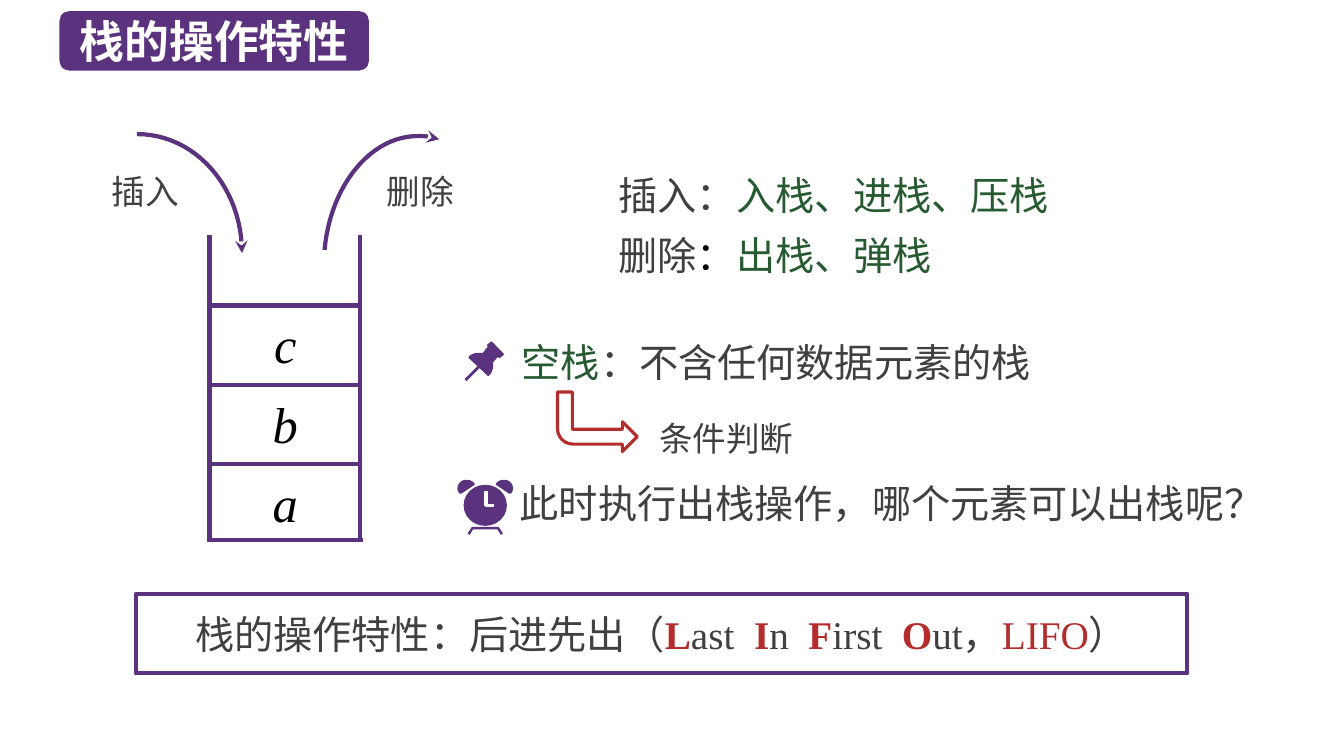
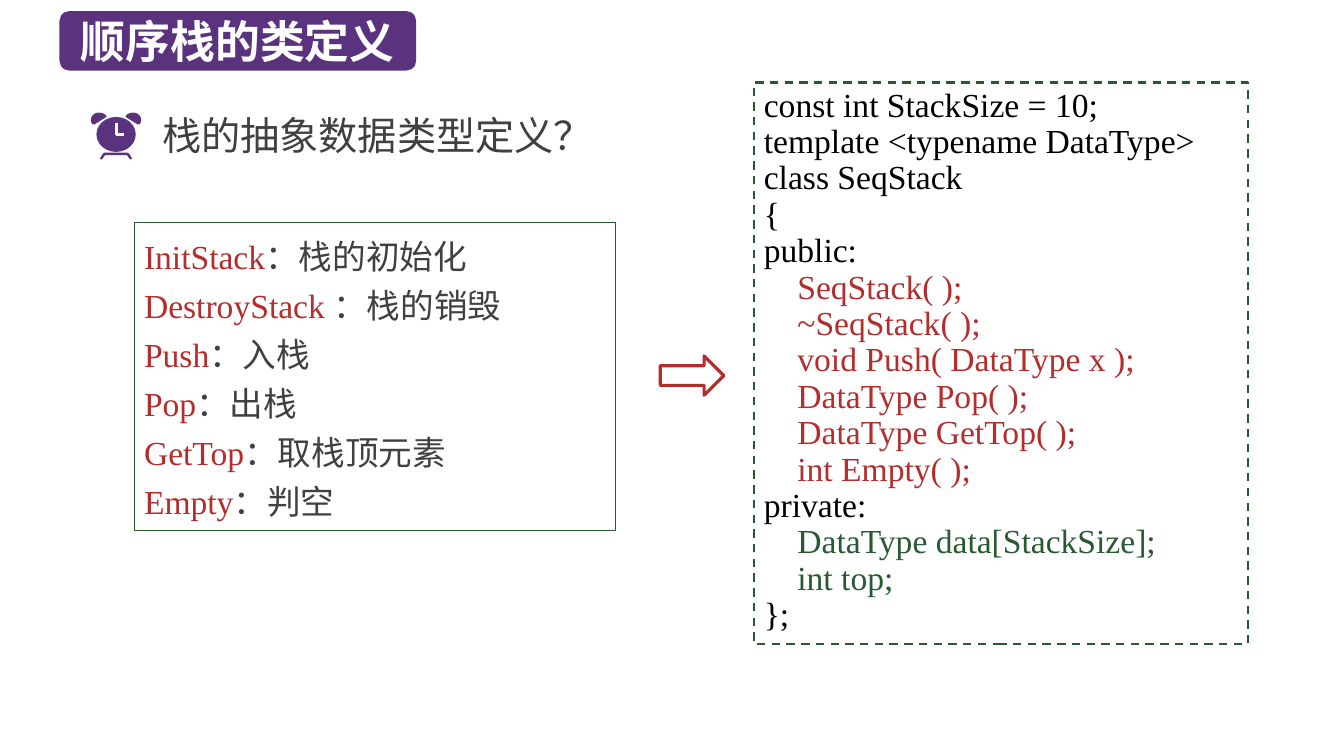
import pptx
import pptx.util
import pptx.dml.color
import pptx.enum.dml
import pptx.enum.shapes
import pptx.enum.text
import pptx.oxml.ns
from lxml import etree

Cm, Pt = pptx.util.Cm, pptx.util.Pt
KIND = pptx.enum.shapes.MSO_SHAPE
ALIGN = pptx.enum.text.PP_ALIGN
ANCHOR = pptx.enum.text.MSO_ANCHOR
DASH = pptx.enum.dml.MSO_LINE.DASH
qn = pptx.oxml.ns.qn

PURPLE, GREEN, RED = "5A327D", "285A32", "B42D2D"
GREY, BLACK, WHITE = "404040", "000000", "FFFFFF"
SANS, SERIF = "Noto Sans CJK SC", "Times New Roman"

TITLES = [("栈的操作特性", 7.80), ("顺序栈的类定义", 8.99)]

NOTES = [
    ((2.57, 4.19, 2.49), 24, [[("插入", GREY)]]),
    ((9.50, 4.19, 2.34), 24, [[("删除", GREY)]]),
    ((15.34, 4.19, 11.46), 28, [
        [("插入：", GREY), ("入栈、进栈、压栈", GREEN)],
        [("删除", GREY), ("：", BLACK), ("出栈、弹栈", GREEN)]]),
    ((12.90, 8.41, 14.38), 28,
     [[("空栈", GREEN), ("：不含任何数据元素的栈", GREY)]]),
    ((16.36, 10.41, 4.27), 24, [[("条件判断", GREY)]]),
    ((12.85, 11.96, 19.80), 28,
     [[("此时执行出栈操作，哪个元素可以出栈呢？", GREY)]]),
]
ASK = ((3.84, 2.67, 12.27), 28, [[("栈的抽象数据类型定义？", GREY)]])

ITEMS = ["c", "b", "a"]
WORDS = ["Last", "In", "First", "Out"]

OPS = [
    ("InitStack", "：栈的初始化"),
    ("DestroyStack ", "：栈的销毁"),
    ("Push", "：入栈"),
    ("Pop", "：出栈"),
    ("GetTop", "：取栈顶元素"),
    ("Empty", "：判空"),
]

CODE = [
    (BLACK, ["const int StackSize = 10;", "template <typename DataType>",
             "class SeqStack", "{", "public:"]),
    (RED, ["    SeqStack( );", "    ~SeqStack( );",
           "    void Push( DataType x );", "    DataType Pop( );",
           "    DataType GetTop( );", "    int Empty( );"]),
    (BLACK, ["private:"]),
    (GREEN, ["    DataType data[StackSize];", "    int top;"]),
    (BLACK, ["};"]),
]

ARCS = [
    [(3.45, 3.38), (4.93, 3.38, 6.10, 4.72, 6.10, 6.38)],
    [(8.18, 6.30), (8.33, 4.65, 9.37, 3.40, 10.57, 3.43),
     (10.74, 3.43, 10.90, 3.45, 11.07, 3.51)],
]
PIN = [(12.70, 8.92), (12.40, 8.61), (12.37, 8.61), (12.27, 8.69),
       (12.29, 8.74), (12.17, 8.89), (12.07, 8.89),
       (11.96, 8.89, 11.89, 8.92, 11.81, 8.99), (11.81, 9.02),
       (12.29, 9.47), (12.32, 9.47),
       (12.40, 9.40, 12.45, 9.27, 12.42, 9.14), (12.55, 8.99),
       (12.57, 9.02), (12.60, 9.02), (12.70, 8.94)]
NEEDLE = [(11.73, 9.58), (12.07, 9.24)]

BELL = [(0.16, 0), (0.07, 0, 0, 0.07, 0, 0.16),
        (0, 0.20, 0.02, 0.23, 0.04, 0.25), (0.07, 0.25), (0.31, 0.09),
        (0.31, 0.07), (0.27, 0.02, 0.22, 0, 0.16, 0)]
FEET = [(0.20, 0.98), (0.27, 0.87), (0.73, 0.87), (0.80, 0.98)]
HANDS = [(0.51, 0.21), (0.51, 0.46), (0.65, 0.46)]


def rgb(hue):
    """Turn a hex string into a colour."""
    return pptx.dml.color.RGBColor.from_string(hue)


def put(goal, vals):
    """Set each attribute named in a dict."""
    for key, val in vals.items():
        setattr(goal, key, val)


def paint(shape, fill=None, line=None, width=1, dash=None):
    """Give a shape its fill and line and drop its shadow."""
    shape.shadow.inherit = False
    if fill:
        shape.fill.solid()
        shape.fill.fore_color.rgb = rgb(fill)
    else:
        shape.fill.background()
    if line:
        shape.line.color.rgb = rgb(line)
        put(shape.line, {"width": Pt(width), "dash_style": dash})
    else:
        shape.line.fill.background()
    return shape


def block(page, kind, at, **look):
    """Add a preset shape at a place in centimetres."""
    return paint(page.shapes.add_shape(kind, *map(Cm, at)), **look)


def write(shape, paras, size, font=SANS, bold=False, italic=False,
          frame=None, **form):
    """Fill a shape with paragraphs of (text, colour, bold) runs."""
    text = shape.text_frame
    put(text, {"word_wrap": True, "vertical_anchor": ANCHOR.TOP,
               **(frame or {})})
    for num, runs in enumerate(paras):
        para = text.add_paragraph() if num else text.paragraphs[0]
        put(para, {"alignment": ALIGN.LEFT, **form})
        if num and "line_spacing" not in form:
            para.space_before = Pt(9)
        for words, hue, *thick in runs:
            run = para.add_run()
            run.text = words
            put(run.font, {"name": font, "size": Pt(size), "italic": italic,
                           "bold": thick[0] if thick else bold})
            run.font.color.rgb = rgb(hue)
            props = run._r.get_or_add_rPr()
            etree.SubElement(props, qn("a:ea")).set("typeface", SANS)
            if words == " ":
                props.set("spc", "700")


def label(page, at, size, paras, **form):
    """Add a text box whose height follows its lines."""
    high = len(paras) * size * 0.06
    box = page.shapes.add_textbox(*map(Cm, (*at, high)))
    write(box, paras, size, **form)


def trace(path, steps=24):
    """Turn points and cubic curves into a list of points."""
    dots = [path[0]]
    for part in path[1:]:
        if len(part) == 2:
            dots.append(part)
            continue
        ends = [dots[-1], part[:2], part[2:4], part[4:]]
        for step in range(1, steps + 1):
            t = step / steps
            mix = ((1 - t) ** 3, 3 * t * (1 - t) ** 2,
                   3 * t * t * (1 - t), t ** 3)
            dots.append(tuple(sum(m * e[axis] for m, e in zip(mix, ends))
                              for axis in (0, 1)))
    return dots


def draw(page, path, at=(0, 0, 1, 1), **look):
    """Add an outline, closed when it has a fill."""
    left, top, wide, high = at
    dots = [(Cm(left + x * wide), Cm(top + y * high)) for x, y in trace(path)]
    form = page.shapes.build_freeform(*dots[0])
    form.add_line_segments(dots[1:], close="fill" in look)
    return paint(form.convert_to_shape(), **look)


def rule(page, *ends):
    """Add a straight purple line."""
    line = page.shapes.add_connector(
        pptx.enum.shapes.MSO_CONNECTOR.STRAIGHT, *map(Cm, ends))
    line.line.color.rgb = rgb(PURPLE)
    line.line.width = Pt(3)
    etree.SubElement(line._element.spPr, qn("a:effectLst"))


def clock(page, at):
    """Draw an alarm clock inside a box."""
    left, top, wide, high = at
    flip = [tuple(1 - v if n % 2 == 0 else v for n, v in enumerate(part))
            for part in BELL]
    for bell in (BELL, flip):
        draw(page, bell, at, fill=PURPLE)
    draw(page, FEET, at, line=PURPLE, width=1.75)
    block(page, KIND.OVAL, (left + 0.11 * wide, top + 0.09 * high,
                            0.78 * wide, 0.74 * high), fill=PURPLE)
    draw(page, HANDS, at, line=WHITE, width=2.5)


def start(deck, title, wide):
    """Add a blank slide with its title band."""
    page = deck.slides.add_slide(deck.slide_layouts[6])
    band = block(page, KIND.ROUNDED_RECTANGLE, (1.50, 0.28, wide, 1.50),
                 fill=PURPLE)
    write(band, [[(title, WHITE)]], 32, bold=True, alignment=ALIGN.CENTER,
          frame={"vertical_anchor": ANCHOR.MIDDLE, "margin_top": 0,
                 "margin_bottom": 0})
    return page


def stack(page):
    """Draw the open stack with its items and arrows."""
    left, right, top, step = 5.28, 9.07, 7.70, 2
    base = top + step * len(ITEMS) - 0.09
    for side in (left, right):
        rule(page, side, 5.92, side, base)
    rule(page, left - 0.07, base, right + 0.07, base)
    for num, item in enumerate(ITEMS):
        y = top + step * num
        rule(page, left, y, right, y)
        label(page, (5.54, y + 0.07, 3.30), 36, [[(item, BLACK)]],
              font=SERIF, italic=True, alignment=ALIGN.CENTER)
    for arc in ARCS:
        form = draw(page, arc, line=PURPLE, width=3)
        tip = etree.SubElement(form.line._get_or_add_ln(), qn("a:tailEnd"))
        tip.set("type", "stealth")


def traits(deck):
    """Build the slide on how a stack works."""
    page = start(deck, *TITLES[0])
    stack(page)
    for note in NOTES:
        label(page, *note)
    draw(page, PIN, fill=PURPLE)
    draw(page, NEEDLE, line=PURPLE, width=2)
    clock(page, (11.53, 12.09, 1.40, 1.40))
    bend = block(page, KIND.BENT_ARROW, (14.05, 9.88, 2.01, 1.50),
                 line=RED, width=2.25)
    bend.adjustments[3] = 0.26
    bend._element.spPr.find(qn("a:xfrm")).set("flipV", "1")
    runs = [("栈的操作特性：后进先出（", GREY)]
    for num, word in enumerate(WORDS):
        if num:
            runs.append((" ", GREY))
        runs += [(word[0], RED, True), (word[1:], GREY)]
    runs += [("，", GREY), ("LIFO", RED), ("）", GREY)]
    box = block(page, KIND.RECTANGLE, (3.43, 14.96, 26.49, 2.01),
                line=PURPLE, width=3)
    write(box, [runs], 28, SERIF, alignment=ALIGN.CENTER,
          frame={"vertical_anchor": ANCHOR.MIDDLE, "margin_top": 0,
                 "margin_bottom": 0})


def define(deck):
    """Build the slide on the class of a stack."""
    page = start(deck, *TITLES[1])
    label(page, *ASK)
    clock(page, (2.29, 2.84, 1.27, 1.19))
    box = block(page, KIND.RECTANGLE, (3.38, 5.61, 12.14, 7.75),
                line=GREEN, width=0.75)
    write(box, [[(name, RED), (gist, GREY)] for name, gist in OPS], 24,
          SERIF, line_spacing=Pt(35))
    block(page, KIND.RIGHT_ARROW, (16.64, 8.97, 1.60, 0.99),
          line=RED, width=2.25)
    box = block(page, KIND.RECTANGLE, (19.00, 2.08, 12.45, 14.15),
                line=GREEN, width=1.5, dash=DASH)
    write(box, [[(line, hue)] for hue, lines in CODE for line in lines], 24,
          SERIF, line_spacing=Pt(26))


def main():
    """Build and save the deck."""
    deck = pptx.Presentation()
    put(deck, {"slide_width": Cm(33.87), "slide_height": Cm(19.05)})
    traits(deck)
    define(deck)
    deck.save("out.pptx")


if __name__ == "__main__":
    main()
